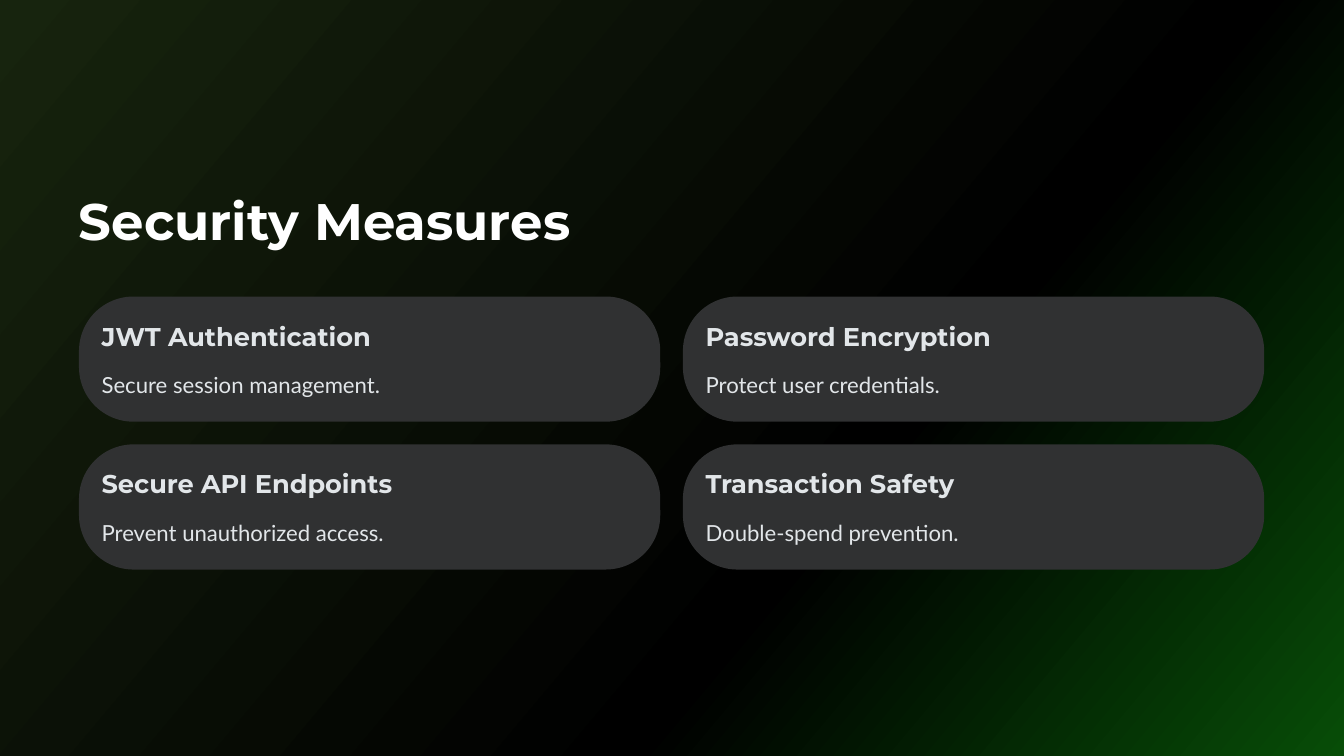
import copy

import pptx
import pptx.dml.color
import pptx.enum.shapes
import pptx.oxml.ns
import pptx.util

Inches = pptx.util.Inches
Pt = pptx.util.Pt

MARGIN = 0.94
CARD_TOP = 3.53
CARD_W, CARD_H = 6.92, 1.49
GAP = 0.27
PAD = 0.27

CARDS = [
    ("JWT Authentication", 3.22, "Secure session management."),
    ("Password Encryption", 3.41, "Protect user credentials."),
    ("Secure API Endpoints", 3.48, "Prevent unauthorized access."),
    ("Transaction Safety", 3.07, "Double-spend prevention."),
]


def rgb(value):
    return pptx.dml.color.RGBColor.from_string(value)


def add_background(s):
    fill = s.background.fill
    fill.gradient()
    fill.gradient_angle = 320
    gs = next(s.element.iter(pptx.oxml.ns.qn("a:gs")))
    gs.addnext(copy.deepcopy(gs))
    stops = [(0, "17240E"), (0.64, "000000"), (1, "074D07")]
    for stop, (position, color) in zip(fill.gradient_stops, stops):
        stop.position = position
        stop.color.rgb = rgb(color)


def add_text(s, x, y, w, h, text, font, size, spacing, color, bold=False):
    sp = s.shapes.add_textbox(Inches(x), Inches(y), Inches(w), Inches(h))
    tf = sp.text_frame
    tf.margin_left = tf.margin_top = tf.margin_right = tf.margin_bottom = 0
    tf.word_wrap = False
    p = tf.paragraphs[0]
    p.text = text
    p.line_spacing = Pt(spacing)
    p.font.name = font
    p.font.size = Pt(size)
    p.font.bold = bold
    p.font.color.rgb = rgb(color)


def add_card(s, x, y, w, h, heading, heading_w, body):
    sp = s.shapes.add_shape(
        pptx.enum.shapes.MSO_SHAPE.ROUNDED_RECTANGLE,
        Inches(x), Inches(y), Inches(w), Inches(h))
    sp.adjustments[0] = 0.435
    sp.shadow.inherit = False
    sp.fill.solid()
    sp.fill.fore_color.rgb = rgb("303132")
    sp.line.fill.background()
    add_text(s, x + PAD, y + PAD, heading_w, 0.38, heading,
             "Montserrat", 22, 27.5, "E2E6E9", True)
    add_text(s, x + PAD, y + 0.81, w - 2 * PAD, 0.4, body,
             "Lato", 19, 29, "E2E6E9")


def add_cards(s, x, y):
    for i, card in enumerate(CARDS):
        row, col = divmod(i, 2)
        add_card(s, x + col * (CARD_W + GAP), y + row * (CARD_H + GAP),
                 CARD_W, CARD_H, *card)


def main():
    prs = pptx.Presentation()
    prs.slide_width = Inches(16)
    prs.slide_height = Inches(9)
    s = prs.slides.add_slide(prs.slide_layouts[6])
    add_background(s)
    add_text(s, MARGIN, 2.22, 6.13, 0.77, "Security Measures",
             "Montserrat", 44, 55, "FFFFFF", True)
    add_cards(s, MARGIN, CARD_TOP)
    prs.save("out.pptx")


if __name__ == "__main__":
    main()
